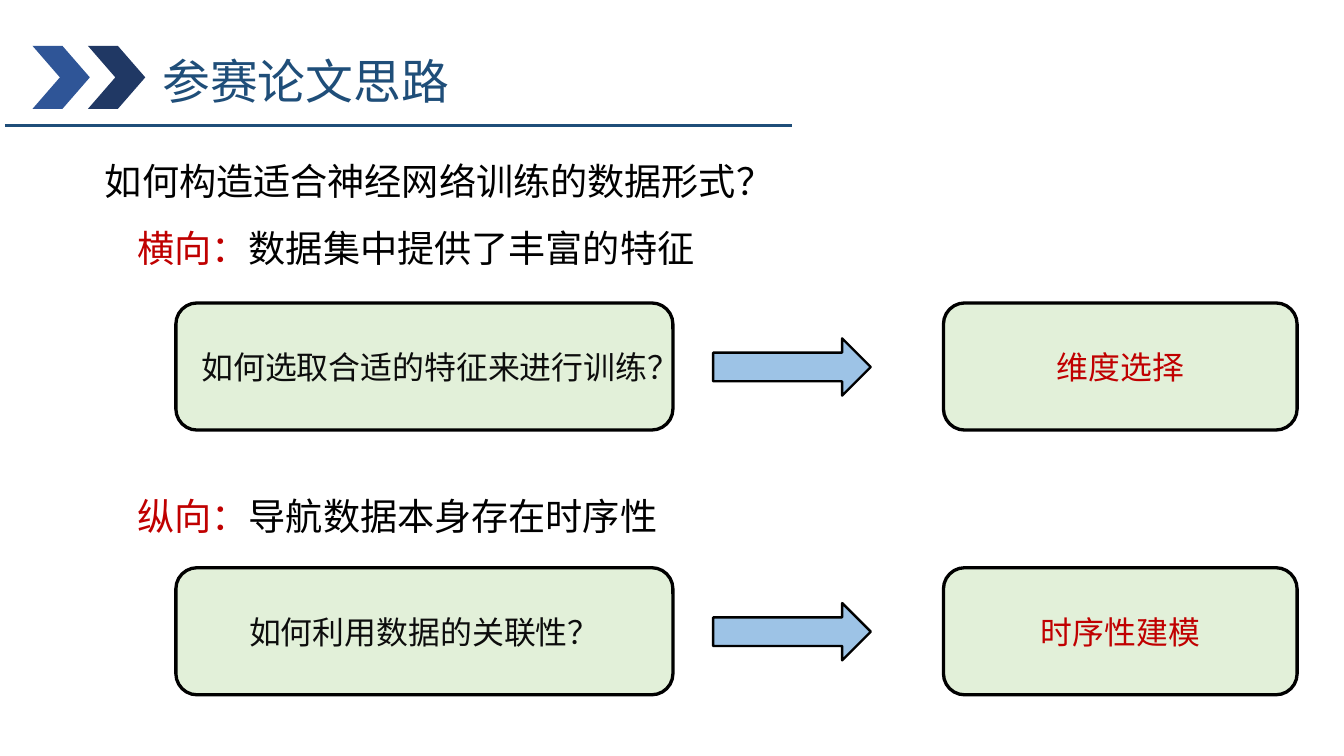
from dataclasses import dataclass

from lxml import etree
from pptx import Presentation
from pptx.dml.color import RGBColor
from pptx.enum import shapes, text
from pptx.oxml import ns
from pptx.util import Inches, Pt


@dataclass(frozen=True)
class Theme:
    title: str = "1F4E79"
    chevrons: tuple = ("2F5597", "203864")
    card: str = "E2F0D9"
    arrow: str = "9DC3E6"
    ink: str = "000000"
    question: str = "0D0D0D"
    accent: str = "C00000"
    title_font: str = "Noto Sans CJK SC"
    body_font: str = "Arial"
    card_font: str = "Calibri"
    title_size: int = 36
    body_size: int = 28
    card_size: int = 24


THEME = Theme()
SHAPE = shapes.MSO_SHAPE
ROW_TOP = 3.17
ROW_PITCH = 2.77
ROWS = (
    ("如何选取合适的特征来进行训练？", "维度选择"),
    ("如何利用数据的关联性？", "时序性建模"),
)


def write(paragraph, runs, *, size, font, spacing=None, align=None):
    paragraph.line_spacing = spacing
    paragraph.alignment = align
    for wording, color in runs:
        run = paragraph.add_run()
        run.text = wording
        run.font.size = Pt(size)
        run.font.name = font
        run.font.color.rgb = RGBColor.from_string(color)


def add_text(slide, left, top, width, height):
    box = slide.shapes.add_textbox(
        Inches(left), Inches(top), Inches(width), Inches(height))
    box.text_frame.word_wrap = True
    return box.text_frame.paragraphs[0]


def add_block(slide, kind, left, top, width, height, fill, line_width=None):
    block = slide.shapes.add_shape(
        kind, Inches(left), Inches(top), Inches(width), Inches(height))
    block.shadow.inherit = False
    block.fill.solid()
    block.fill.fore_color.rgb = RGBColor.from_string(fill)
    if line_width is None:
        block.line.fill.background()
    else:
        block.line.color.rgb = RGBColor.from_string(THEME.ink)
        block.line.width = Pt(line_width)
    return block


def add_card(slide, left, top, width, wording, color):
    card = add_block(slide, SHAPE.ROUNDED_RECTANGLE, left, top, width, 1.33,
                     THEME.card, 2.5)
    card.text_frame.word_wrap = True
    card.text_frame.vertical_anchor = text.MSO_ANCHOR.MIDDLE
    write(card.text_frame.paragraphs[0], [(wording, color)],
          size=THEME.card_size, font=THEME.card_font,
          align=text.PP_ALIGN.CENTER)


def add_header(slide):
    write(add_text(slide, 1.6, 0.25, 8.67, 0.86),
          [("参赛论文思路", THEME.title)],
          size=THEME.title_size, font=THEME.title_font, spacing=1.4)
    for index, color in enumerate(THEME.chevrons):
        chevron = add_block(slide, SHAPE.CHEVRON, 0.34 + 0.58 * index, 0.48,
                            0.6, 0.66, color)
        chevron.adjustments[0] = 0.478
    rule = slide.shapes.add_connector(
        shapes.MSO_CONNECTOR.STRAIGHT,
        Inches(0.05), Inches(1.31), Inches(8.29), Inches(1.31))
    rule.line.color.rgb = RGBColor.from_string(THEME.title)
    rule.line.width = Pt(2.25)
    etree.SubElement(rule.line._get_or_add_ln().getparent(),
                     ns.qn("a:effectLst"))


def add_statement(slide, left, top, runs):
    write(add_text(slide, left, top, 11, 0.8), runs,
          size=THEME.body_size, font=THEME.body_font, spacing=1.5)


def add_row(slide, top, question, answer):
    add_card(slide, 1.84, top, 5.2, question, THEME.question)
    add_block(slide, SHAPE.RIGHT_ARROW, 7.46, top + 0.37, 1.65, 0.6,
              THEME.arrow, 1.75)
    add_card(slide, 9.87, top, 3.7, answer, THEME.accent)


def main():
    deck = Presentation()
    deck.slide_width = Inches(14.06)
    deck.slide_height = Inches(7.91)
    slide = deck.slides.add_slide(deck.slide_layouts[6])

    add_header(slide)
    add_statement(slide, 1, 1.37,
                  [("如何构造适合神经网络训练的数据形式？", THEME.ink)])
    add_statement(slide, 1.34, 2.07, [("横向：", THEME.accent),
                                      ("数据集中提供了丰富的特征", THEME.ink)])
    add_statement(slide, 1.34, 4.88, [("纵向：", THEME.accent),
                                      ("导航数据本身存在时序性", THEME.ink)])
    for index, (question, answer) in enumerate(ROWS):
        add_row(slide, ROW_TOP + ROW_PITCH * index, question, answer)

    deck.save("out.pptx")


if __name__ == "__main__":
    main()
